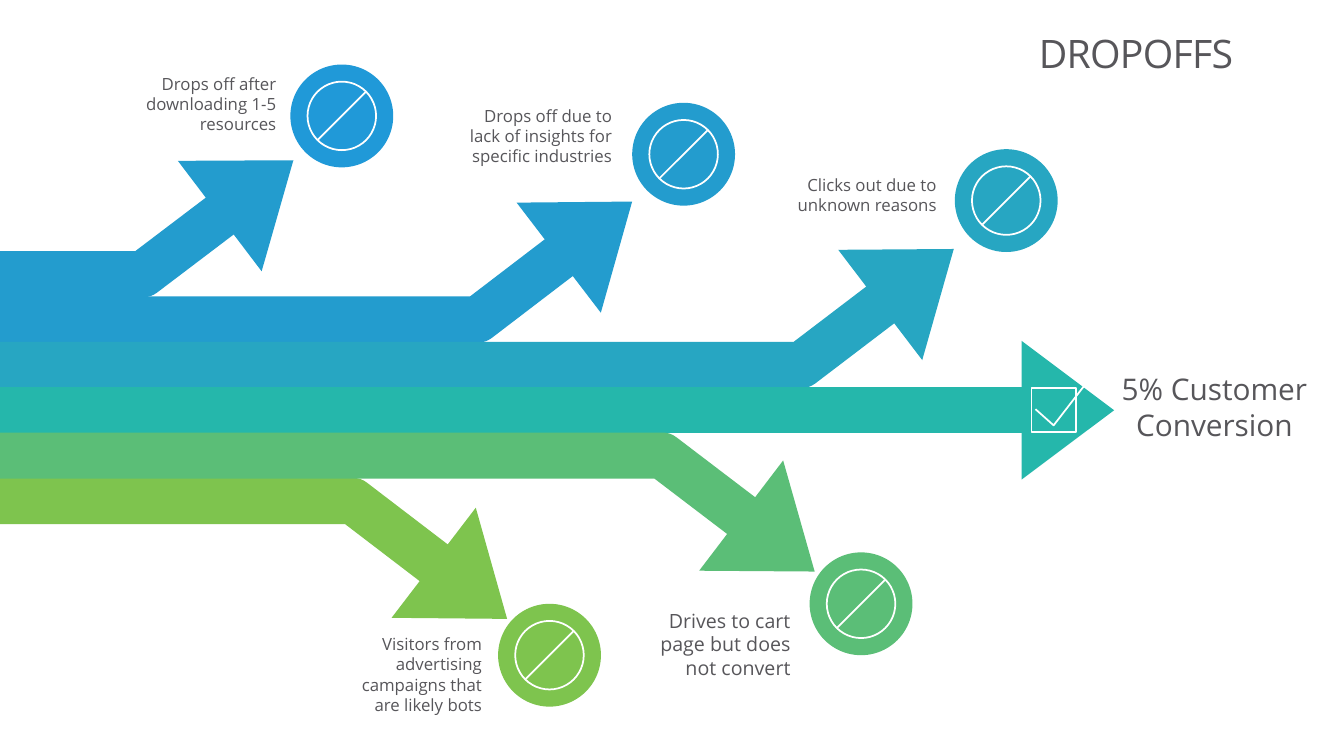
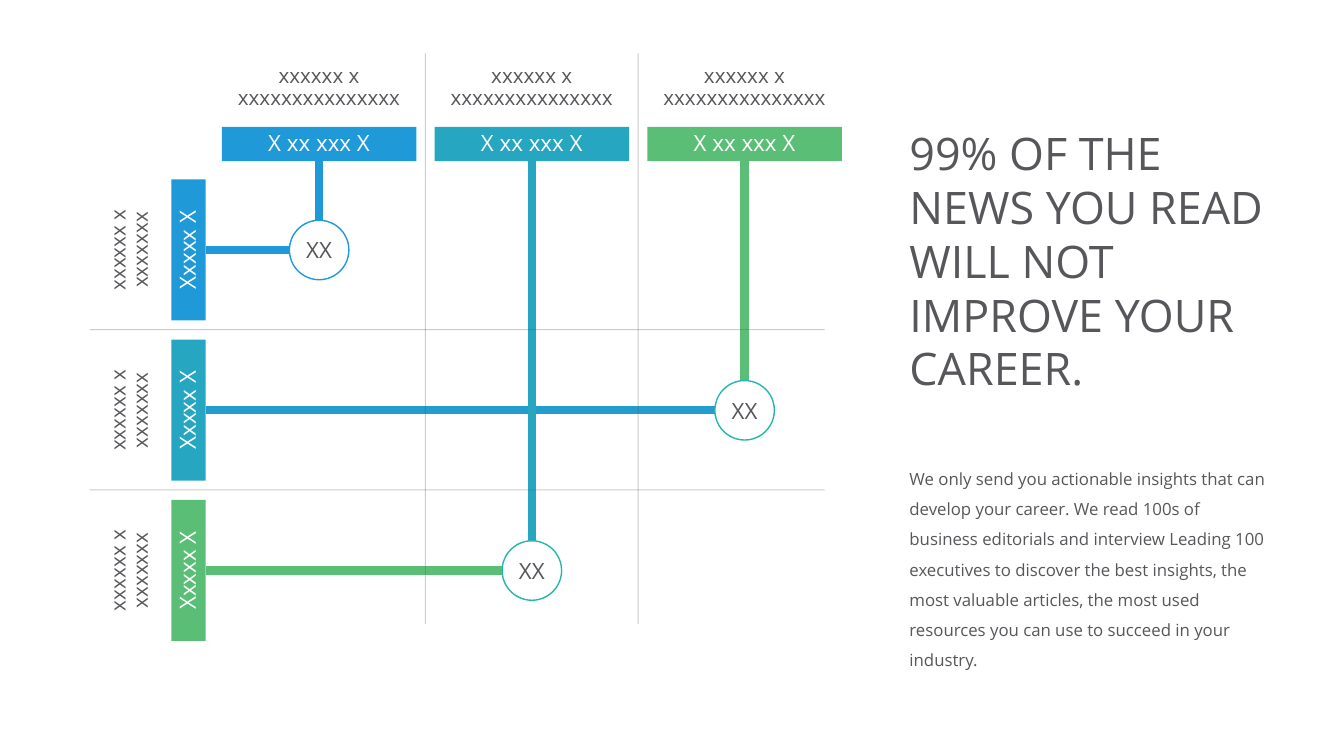
from dataclasses import dataclass

from lxml.etree import SubElement
from pptx import Presentation
from pptx.dml.color import RGBColor
from pptx.enum.shapes import MSO_CONNECTOR, MSO_SHAPE
from pptx.enum.text import MSO_ANCHOR, MSO_AUTO_SIZE, PP_ALIGN
from pptx.oxml.ns import qn
from pptx.util import Inches, Pt


@dataclass(frozen=True)
class Theme:
    font: str = "Open Sans"
    ink: str = "57565A"
    white: str = "FFFFFF"
    sky: str = "2099D8"
    blue: str = "239CCE"
    cyan: str = "27A6C2"
    teal: str = "25B7AB"
    green: str = "5BBE77"
    lime: str = "7EC44E"
    title: float = 28
    headline: float = 32
    outcome: float = 21.3
    bar: float = 16
    heading: float = 14.7
    large_label: float = 14
    body: float = 12
    lane_width: float = 33
    link_width: float = 6
    icon_width: float = 1.25


THEME = Theme()


def inches(*values):
    return [Inches(value) for value in values]


def write(shape, text, size, color=THEME.ink, align=PP_ALIGN.LEFT,
          anchor=MSO_ANCHOR.TOP, spacing=1.0, wrap=True, vertical=False):
    frame = shape.text_frame
    paragraph = frame.paragraphs[0]
    run = paragraph.add_run()
    run.text = text
    formats = {
        frame: {"word_wrap": wrap, "auto_size": MSO_AUTO_SIZE.NONE,
                "vertical_anchor": anchor},
        paragraph: {"alignment": align, "line_spacing": spacing,
                    "space_before": Pt(0)},
        run.font: {"name": THEME.font, "size": Pt(size)},
    }
    for target, values in formats.items():
        for name, value in values.items():
            setattr(target, name, value)
    run.font.color.rgb = RGBColor.from_string(color)
    if vertical:
        frame._txBody.bodyPr.set("vert", "vert270")
    return run


def add_text(slide, box, text, size, **options):
    write(slide.shapes.add_textbox(*inches(*box)), text, size, **options)


def fill_placeholder(shape, box, text, size, **options):
    shape.left, shape.top, shape.width, shape.height = inches(*box)
    return write(shape, text, size, **options)


def set_line(shape, color, width):
    shape.line.color.rgb = RGBColor.from_string(color)
    shape.line.width = Pt(width)


def add_shape(slide, kind, box, fill=None, line=None, width=1):
    shape = slide.shapes.add_shape(kind, *inches(*box))
    shape.shadow.inherit = False
    if fill:
        shape.fill.solid()
        shape.fill.fore_color.rgb = RGBColor.from_string(fill)
    else:
        shape.fill.background()
    if line:
        set_line(shape, line, width)
    else:
        shape.line.fill.background()
    return shape


def add_line(slide, start, end, color, width):
    connector = slide.shapes.add_connector(
        MSO_CONNECTOR.STRAIGHT, *inches(*start, *end))
    set_line(connector, color, width)
    SubElement(connector._element.spPr, qn("a:effectLst"))
    return connector


def add_polyline(slide, points, color, width):
    start, *others = [tuple(inches(*point)) for point in points]
    builder = slide.shapes.build_freeform(*start)
    builder.add_line_segments(others, close=False)
    shape = builder.convert_to_shape()
    shape.shadow.inherit = False
    shape.fill.background()
    set_line(shape, color, width)
    return shape


def add_lane(slide, points, color):
    """Draw a thick band from the slide's left edge that ends in an arrowhead."""
    draw = (lambda *args: add_line(slide, *points, *args)) if len(points) == 2 \
        else (lambda *args: add_polyline(slide, points, *args))
    outline = draw(color, THEME.lane_width).line._get_or_add_ln()
    SubElement(outline, qn("a:round"))
    SubElement(outline, qn("a:tailEnd"), type="triangle", w="med", len="sm")


def add_stop_badge(slide, left, top, color):
    size, inset, reach = 1.02, 0.17, 0.24
    center_x, center_y = left + size / 2, top + size / 2
    ring = size - 2 * inset
    add_shape(slide, MSO_SHAPE.OVAL, (left, top, size, size), color)
    add_shape(slide, MSO_SHAPE.OVAL, (left + inset, top + inset, ring, ring),
              line=THEME.white, width=THEME.icon_width)
    add_line(slide, (center_x - reach, center_y + reach),
             (center_x + reach, center_y - reach), THEME.white, THEME.icon_width)


def add_check_icon(slide, left, top):
    add_shape(slide, MSO_SHAPE.RECTANGLE, (left, top + 0.07, 0.44, 0.44),
              line=THEME.white, width=THEME.icon_width)
    tick = [(0.04, 0.28), (0.22, 0.44), (0.56, 0)]
    add_polyline(slide, [(left + x, top + y) for x, y in tick],
                 THEME.white, THEME.icon_width)


def build_dropoffs(presentation):
    slide = presentation.slides.add_slide(presentation.slide_layouts[5])
    # lane colour, lane y, elbow x, arrow tip
    lanes = [
        (THEME.blue, 3.17, 4.74, (6.27, 2)),
        (THEME.cyan, 3.62, 7.95, (9.46, 2.47)),
        (THEME.teal, 4.07, None, (11.05, 4.07)),
        (THEME.lime, 4.97, 3.5, (5.03, 6.14)),
        (THEME.green, 4.52, 6.57, (8.08, 5.67)),
        (THEME.blue, 2.72, 1.42, (2.91, 1.59)),
    ]
    for color, y, elbow, tip in lanes:
        bend = [(elbow, y)] if elbow else []
        add_lane(slide, [(0, y), *bend, tip], color)

    # badge corner, colour, label box, label, label size
    dropoffs = [
        (2.88, 0.64, THEME.sky, (0.67, 0.68, 2.17, 0.71),
         "Drops off after downloading 1-5 resources", THEME.body),
        (6.27, 1.02, THEME.blue, (4.39, 1, 1.78, 0.71),
         "Drops off due to lack of insights for specific industries", THEME.body),
        (9.47, 1.48, THEME.cyan, (7.65, 1.68, 1.74, 0.5),
         "Clicks out due to unknown reasons", THEME.body),
        (4.94, 5.99, THEME.lime, (3.48, 6.24, 1.4, 0.91),
         "Visitors from advertising campaigns that are likely bots", THEME.body),
        (8.03, 5.48, THEME.green, (6.35, 5.99, 1.59, 0.81),
         "Drives to cart page but does not convert", THEME.large_label),
    ]
    for left, top, color, box, label, size in dropoffs:
        add_text(slide, box, label, size, align=PP_ALIGN.RIGHT)
        add_stop_badge(slide, left, top, color)

    add_text(slide, (10.96, 3.63, 2.17, 0.82), "5% Customer Conversion",
             THEME.outcome, align=PP_ALIGN.CENTER)
    add_check_icon(slide, 10.23, 3.78)
    title = fill_placeholder(slide.shapes.title, (1, 0.31, 11.33, 0.89), "DROPOFFS",
                             THEME.title, align=PP_ALIGN.RIGHT, spacing=0.86)
    title._r.get_or_add_rPr().set("spc", "-50")


def add_bar(slide, box, text, color, vertical=False):
    bar = add_shape(slide, MSO_SHAPE.RECTANGLE, box, color)
    write(bar, text, THEME.bar, THEME.white, PP_ALIGN.CENTER,
          MSO_ANCHOR.MIDDLE, 0.9, vertical=vertical)
    return bar


def add_divider(slide, start, end):
    divider = add_line(slide, start, end, THEME.ink, 0.75)
    color = divider.line._get_or_add_ln().find(".//" + qn("a:srgbClr"))
    SubElement(color, qn("a:alpha"), val="30000")


def add_matrix(slide, left, top):
    """Draw column and row bars, and the nodes that link them."""
    bar_length, bar_depth, row_length = 1.93, 0.34, 1.4
    pitch_x, pitch_y, node = 2.11, 1.59, 0.59
    colors = [THEME.sky, THEME.cyan, THEME.green]
    heading = {"align": PP_ALIGN.CENTER, "spacing": 0.9}
    column_lefts = [left + 1.31 + pitch_x * index for index in range(3)]
    row_tops = [top + 1.25 + pitch_y * index for index in range(3)]
    column_bars, row_bars = [], []
    for x, y, color in zip(column_lefts, row_tops, colors):
        add_text(slide, (x, top + 0.07, bar_length, 0.55),
                 "xxxxxx x xxxxxxxxxxxxxxx", THEME.heading, **heading)
        add_text(slide, (left + 0.13, y, 0.55, row_length),
                 "xxxxxx x xxxxxxx", THEME.heading, vertical=True, **heading)
        column_bars.append(add_bar(slide, (x, top + 0.73, bar_length, bar_depth),
                                   "X xx xxx X", color))
        row_bars.append(add_bar(slide, (left + 0.81, y, bar_depth, row_length),
                                "Xxxxx X", color, vertical=True))

    # column, row, row link colour, node outline
    nodes = [(0, 0, THEME.sky, THEME.sky),
             (2, 1, THEME.blue, THEME.teal),
             (1, 2, THEME.green, THEME.teal)]
    for column, row, row_color, outline in nodes:
        x = column_lefts[column] + bar_length / 2
        y = row_tops[row] + row_length / 2
        links = [(row_bars[row], 3, (x - node / 2, y), row_color),
                 (column_bars[column], 2, (x, y - node / 2), colors[column])]
        for bar, side, end, color in links:
            link = add_line(slide, (left, top), end, color, THEME.link_width)
            link.begin_connect(bar, side)
        circle = add_shape(slide, MSO_SHAPE.OVAL,
                           (x - node / 2, y - node / 2, node, node),
                           THEME.white, outline)
        write(circle, "XX", THEME.bar, align=PP_ALIGN.CENTER,
              anchor=MSO_ANCHOR.MIDDLE, wrap=False)

    for x, y in zip(column_lefts[1:], row_tops[1:]):
        add_divider(slide, (left, y - 0.1), (left + 7.29, y - 0.1))
        add_divider(slide, (x - 0.09, top), (x - 0.09, top + 5.66))


def build_news(presentation):
    slide = presentation.slides.add_slide(presentation.slide_layouts[1])
    add_matrix(slide, 0.89, 0.53)
    fill_placeholder(slide.shapes.title, (8.92, 1.2, 3.78, 2.8),
                     "99% OF THE NEWS YOU READ WILL NOT IMPROVE YOUR CAREER.",
                     THEME.headline)
    body = slide.placeholders[1]
    properties = body.text_frame.paragraphs[0]._p.get_or_add_pPr()
    properties.set("marL", "0")
    properties.set("indent", "0")
    SubElement(properties, qn("a:buNone"))
    fill_placeholder(
        body, (8.92, 4.5, 3.78, 2.1),
        "We only send you actionable insights that can develop your career. "
        "We read 100s of business editorials and interview Leading 100 executives "
        "to discover the best insights, the most valuable articles, the most used "
        "resources you can use to succeed in your industry.",
        THEME.body, spacing=1.5)


def main():
    presentation = Presentation()
    presentation.slide_width, presentation.slide_height = inches(13.33, 7.5)
    build_dropoffs(presentation)
    build_news(presentation)
    presentation.save("out.pptx")


if __name__ == "__main__":
    main()
